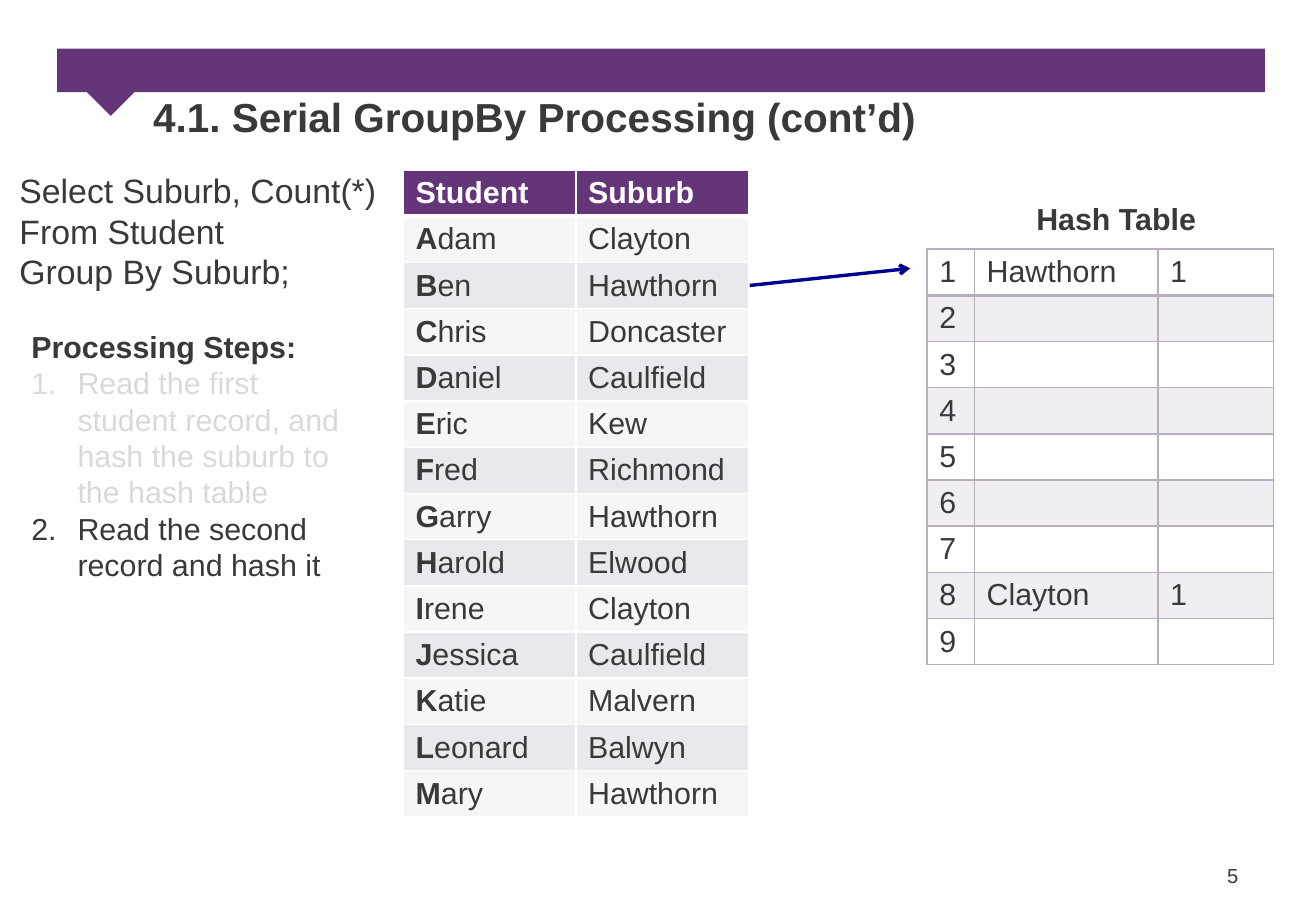
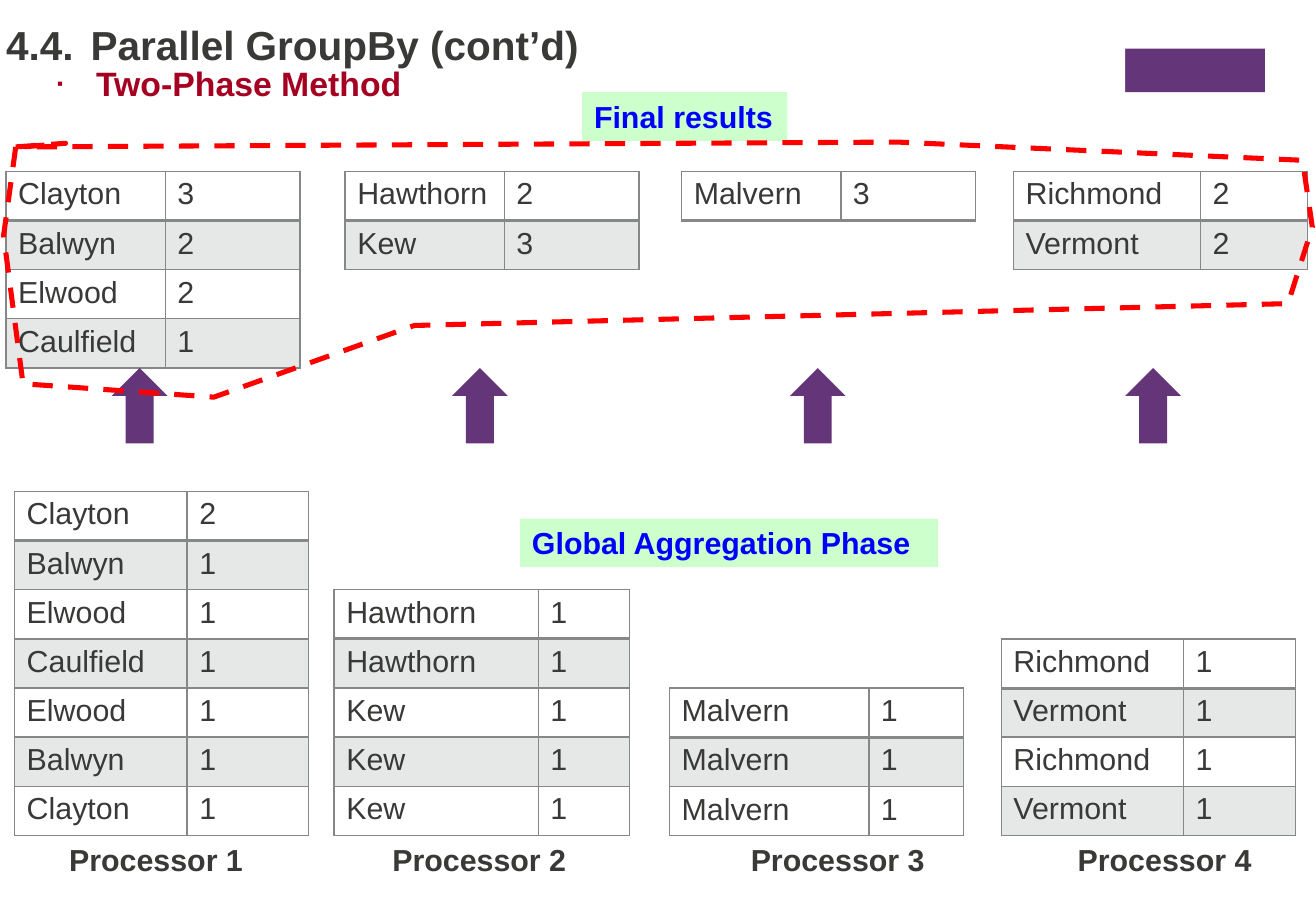
from lxml.etree import SubElement
from pptx import Presentation
from pptx.dml.color import RGBColor
from pptx.enum.dml import MSO_LINE
from pptx.enum.shapes import MSO_CONNECTOR, MSO_SHAPE
from pptx.enum.text import MSO_ANCHOR, MSO_AUTO_SIZE, PP_ALIGN
from pptx.oxml.ns import qn
from pptx.util import Inches, Pt

# Shared look
FONT = "Arial"
INK, WHITE, PURPLE = "393938", "FFFFFF", "653579"
MAUVE, GREY, PALE = "B8AEBE", "858789", "D9D9D9"
BLUE, NAVY, MINT, RED, WINE = "0000FF", "000090", "CCFFCC", "FF0000", "A50021"
BANDS = ("D3CED7", "EAE8EC")
ROW = 1.62 / 4  # row height of the processor tables

# Slide 1 data
STUDENTS = [
    ("Adam", "Clayton"), ("Ben", "Hawthorn"), ("Chris", "Doncaster"),
    ("Daniel", "Caulfield"), ("Eric", "Kew"), ("Fred", "Richmond"),
    ("Garry", "Hawthorn"), ("Harold", "Elwood"), ("Irene", "Clayton"),
    ("Jessica", "Caulfield"), ("Katie", "Malvern"), ("Leonard", "Balwyn"),
    ("Mary", "Hawthorn"),
]
HASHED = {1: ("Hawthorn", "1"), 8: ("Clayton", "1")}

# Slide 2 data: left, column widths, rows of each table; then arrow and label
FINAL = [
    (0.05, (1.31, 1.11), [("Clayton", "3"), ("Balwyn", "2"),
                          ("Elwood", "2"), ("Caulfield", "1")]),
    (2.84, (1.31, 1.11), [("Hawthorn", "2"), ("Kew", "3")]),
    (5.61, (1.31, 1.11), [("Malvern", "3")]),
    (8.34, (1.54, 0.88), [("Richmond", "2"), ("Vermont", "2")]),
]
LOCAL = [
    (0.12, (1.42, 1), [("Clayton", "2")] + [(name, "1") for name in (
        "Balwyn", "Elwood", "Caulfield", "Elwood", "Balwyn", "Clayton")]),
    (2.75, (1.68, 0.75), [("Hawthorn", "1")] * 2 + [("Kew", "1")] * 3),
    (5.51, (1.64, 0.78), [("Malvern", "1")] * 3),
    (8.24, (1.5, 0.92), [("Richmond", "1"), ("Vermont", "1")] * 2),
]
ARROWS = (0.92, 3.72, 6.5, 9.26)
LABELS = (0.47, 3.13, 6.08, 8.77)
LASSO = [(0.13, 1.21), (0.54, 1.18), (0.19, 1.21), (7.39, 1.17),
         (10.72, 1.32), (10.8, 1.87), (10.6, 2.5), (3.41, 2.68),
         (1.76, 3.27), (0.19, 3.16), (0.03, 1.94)]


def rgb(code):
    return RGBColor.from_string(code)


def box(*at):
    return [Inches(value) for value in at]


def style(para, size=18, color=INK, bold=False):
    font = para.font
    font.name, font.size, font.bold = FONT, Pt(size), bold
    font.color.rgb = rgb(color)
    para.alignment = PP_ALIGN.LEFT


def mark(para, indent, tag, **attrs):
    """Give a paragraph a hanging indent and a bullet; call before style."""
    props = para._p.get_or_add_pPr()
    props.set("marL", str(Inches(indent)))
    props.set("indent", str(-Inches(indent)))
    if tag == "buChar":
        SubElement(props, qn("a:buSzPct"), val="50000")
    SubElement(props, qn("a:" + tag), **attrs)


def place(holder, at, insets):
    """Move a placeholder and set its frame."""
    holder.left, holder.top, holder.width, holder.height = box(*at)
    frame = holder.text_frame
    (frame.margin_left, frame.margin_top,
     frame.margin_right, frame.margin_bottom) = box(*insets)
    frame.vertical_anchor = MSO_ANCHOR.TOP
    frame.auto_size = MSO_AUTO_SIZE.NONE
    frame.word_wrap = True
    return frame


def head(slide, left, top, *parts):
    frame = place(slide.shapes.title, (left, top, 9.21, 1.25), (0, 0, 0.1, 0.05))
    para = frame.paragraphs[0]
    for part in parts:
        para.add_run().text = part
    style(para, 24, bold=True)
    return para


def body(slide, at, lines):
    frame = place(slide.placeholders[1], at, (0, 0, 0, 0))
    frame.text = "\n".join(lines)
    return frame.paragraphs


def shape(slide, kind, at, color):
    item = slide.shapes.add_shape(kind, *box(*at))
    item.shadow.inherit = False
    item.fill.solid()
    item.fill.fore_color.rgb = rgb(color)
    item.line.fill.background()
    return item


def label(slide, at, text, size=18, color=INK, bold=True, fill=None):
    item = slide.shapes.add_textbox(*box(*at))
    if fill:
        item.fill.solid()
        item.fill.fore_color.rgb = rgb(fill)
    frame = item.text_frame
    frame.word_wrap = False
    frame.text = text
    style(frame.paragraphs[0], size, color, bold)


def edges(cell, color, top, low):
    """Draw the four borders of a cell; call before its fill."""
    props = cell._tc.get_or_add_tcPr()
    for side, width in (("L", 1), ("R", 1), ("T", top), ("B", low)):
        line = SubElement(props, qn("a:ln" + side), w=str(Pt(width)))
        paint = SubElement(line, qn("a:solidFill"))
        SubElement(paint, qn("a:srgbClr"), val=color)


def tint(cell, color, alpha=None):
    cell.fill.solid()
    cell.fill.fore_color.rgb = rgb(color)
    if alpha:
        code = cell._tc.tcPr.find(qn("a:solidFill")).find(qn("a:srgbClr"))
        SubElement(code, qn("a:alpha"), val=str(alpha * 1000))


def table(slide, left, top, widths, high, rows, color, rule=2):
    """Add a plain table with a thicker rule below its first row."""
    grid = slide.shapes.add_table(
        len(rows), len(widths),
        *box(left, top, sum(widths), high * len(rows))).table
    grid.first_row = grid.horz_banding = False
    for col, width in zip(grid.columns, widths):
        col.width = Inches(width)
    for i, row in enumerate(rows):
        grid.rows[i].height = Inches(high)
        for cell, text in zip(grid.rows[i].cells, row):
            edges(cell, color, rule if i == 1 else 1, rule if i == 0 else 1)
            cell.text = text
            style(cell.text_frame.paragraphs[0])
            if i % 2:
                tint(cell, color, 20)
            else:
                cell.fill.background()
    return grid


def roster(slide):
    """The student table: filled bands and bold initials."""
    rows = [("Student", "Suburb")] + STUDENTS
    grid = table(slide, 3.32, 1.4, (1.42, 1.42), 0.38, rows, WHITE, 3)
    grid.first_row = True
    for i, row in enumerate(grid.rows):
        for cell in row.cells:
            tint(cell, BANDS[(i - 1) % 2] if i else PURPLE)
            if i == 0:
                style(cell.text_frame.paragraphs[0], color=WHITE, bold=True)
        if i:
            para = row.cells[0].text_frame.paragraphs[0]
            name = para.runs[0].text
            para.runs[0].text = name[0]
            para.runs[0].font.bold = True
            para.add_run().text = name[1:]


def steps(slide):
    frame = slide.shapes.add_textbox(*box(0.16, 2.65, 2.84, 2.52)).text_frame
    frame.word_wrap = True
    frame.text = "\n".join([
        "Processing Steps:",
        "Read the first student record, and hash the suburb to the hash table",
        "Read the second record and hash it"])
    title, *items = frame.paragraphs
    style(title, bold=True)
    for item, color in zip(items, (PALE, INK)):
        mark(item, 0.38, "buAutoNum", type="arabicPeriod")
        style(item, color=color)


def arrow(slide, start, end):
    line = slide.shapes.add_connector(
        MSO_CONNECTOR.STRAIGHT, *box(*start, *end))
    line.line.color.rgb = rgb(NAVY)
    line.line.width = Pt(2)
    SubElement(line.line._get_or_add_ln(), qn("a:tailEnd"), type="arrow")
    SubElement(line._element.spPr, qn("a:effectLst"))


def lasso(slide):
    first, *rest = [box(*point) for point in LASSO]
    path = slide.shapes.build_freeform(*first)
    path.add_line_segments(rest, close=True)
    item = path.convert_to_shape()
    item.shadow.inherit = False
    item.fill.background()
    item.line.color.rgb = rgb(RED)
    item.line.width = Pt(3)
    item.line.dash_style = MSO_LINE.DASH


def band(slide):
    """Draw the band and its pointer, then hand them to the layout."""
    bar = shape(slide, MSO_SHAPE.RECTANGLE, (0.47, 0.4, 9.94, 0.36), PURPLE)
    tip = shape(slide, MSO_SHAPE.RECTANGLE, (0.78, 0.5, 0.32, 0.4), PURPLE)
    tip.rotation = 45
    for item in (bar, tip):
        slide.slide_layout.shapes.element.append(item.element)


def serial(slide):
    head(slide, 1.26, 0.76, "4.1. Serial GroupBy Processing (cont’d)")
    query = ["Select Suburb, Count(*)", "From Student", "Group By Suburb;"]
    for para in body(slide, (0.16, 1.4, 3.16, 1.26), query):
        mark(para, 0.32, "buNone")
        para.space_before = Pt(0)
        style(para, 20)
    roster(slide)
    slots = [(str(n), *HASHED.get(n, ("", ""))) for n in range(1, 10)]
    table(slide, 7.63, 2.05, (0.39, 1.51, 0.95), 0.38, slots, MAUVE)
    label(slide, (8.43, 1.6, 1.53, 0.4), "Hash Table")
    steps(slide)
    arrow(slide, (6.17, 2.35), (7.49, 2.21))
    label(slide, (10, 7.06, 0.41, 0.3), "5", 12, bold=False)


def phases(slide):
    title = head(slide, 0.05, 0, "4.4.", " ", "Parallel GroupBy (cont’d)")
    title.runs[1].font.size = Pt(36)
    slide.shapes.title.fill.solid()
    slide.shapes.title.fill.fore_color.rgb = rgb(WHITE)
    method = body(slide, (0.47, 0.52, 3.7, 0.53), ["Two-Phase Method"])[0]
    mark(method, 0.32, "buChar", char="▪")
    method.space_before, method.space_after = Pt(0), Pt(6)
    style(method, 20, WINE, True)

    # Processors: local rows below, final rows above
    for n, left in enumerate(LABELS, 1):
        label(slide, (left, 6.88, 1.65, 0.4), f"Processor {n}")
    for left, widths, rows in LOCAL:
        table(slide, left, 6.88 - ROW * len(rows), widths, ROW, rows, GREY)
    for left, widths, rows in FINAL:
        table(slide, left, 1.41, widths, ROW, rows, GREY)
    for left in ARROWS:
        shape(slide, MSO_SHAPE.UP_ARROW, (left, 3.03, 0.46, 0.62), PURPLE)

    # Phase names and the outline of the results
    for at, text in (((4.79, 0.76, 1.69, 0.4), "Final results"),
                     ((4.28, 4.27, 3.44, 0.4), "Global Aggregation Phase")):
        label(slide, at, text, color=BLUE, fill=MINT)
    lasso(slide)


def main():
    deck = Presentation()
    deck.slide_width, deck.slide_height = box(10.83, 7.5)
    first, second = [deck.slides.add_slide(deck.slide_layouts[1])
                     for _ in range(2)]
    band(first)
    serial(first)
    phases(second)
    deck.save("out.pptx")


if __name__ == "__main__":
    main()
